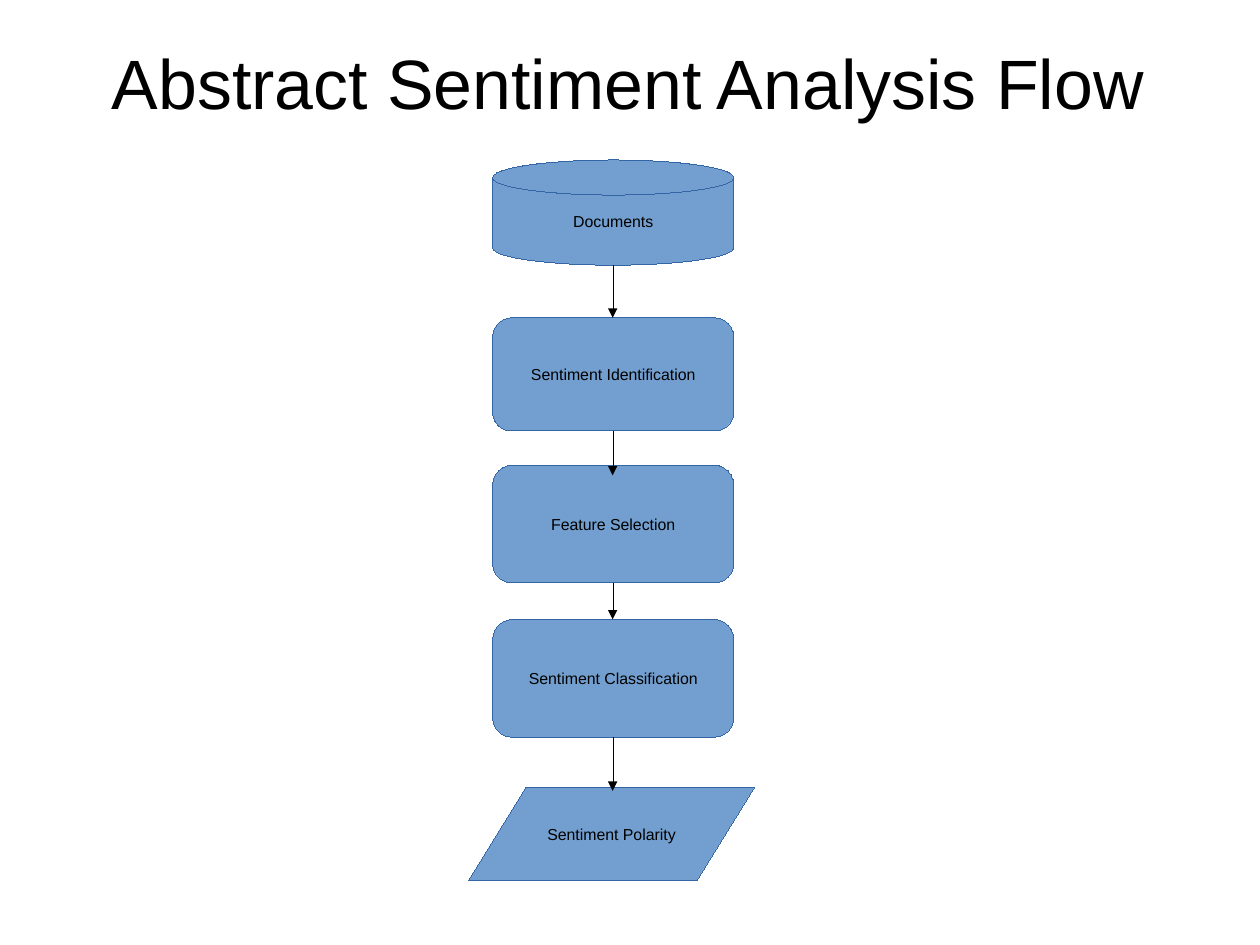
from lxml.etree import SubElement
from pptx import Presentation
from pptx.dml.color import RGBColor
from pptx.enum.shapes import MSO_CONNECTOR, MSO_SHAPE as SHAPE
from pptx.enum.text import MSO_ANCHOR as ANCHOR, PP_ALIGN as ALIGN
from pptx.oxml.ns import qn
from pptx.util import Inches, Pt

BLACK = RGBColor(0x00, 0x00, 0x00)
STEP_FILL = RGBColor(0x72, 0x9F, 0xCF)
STEP_LINE = RGBColor(0x34, 0x65, 0xA4)
HAIRLINE = Pt(0)

TITLE = "Abstract Sentiment Analysis Flow"
PROCESS = SHAPE.FLOWCHART_ALTERNATE_PROCESS
STEPS = [
    ("Documents", SHAPE.FLOWCHART_MAGNETIC_DISK, 4.31, 1.4, 2.11, 0.92),
    ("Sentiment Identification", PROCESS, 4.31, 2.78, 2.11, 0.99),
    ("Feature Selection", PROCESS, 4.31, 4.07, 2.11, 1.03),
    ("Sentiment Classification", PROCESS, 4.31, 5.42, 2.11, 1.03),
    ("Sentiment Polarity", SHAPE.FLOWCHART_DATA, 4.1, 6.89, 2.5, 0.81),
]
ARROW_OVERLAPS = [0, 0.09, 0, 0.03]
ARROW_X = 5.36
CM_PER_INCH = 2.54
PAGE_WIDTH = Inches(28 / CM_PER_INCH)
PAGE_HEIGHT = Inches(21 / CM_PER_INCH)


def write(shape, text, size, margins=(0.1, 0.05), wrap=False):
    frame = shape.text_frame
    frame.word_wrap = wrap
    frame.vertical_anchor = ANCHOR.MIDDLE
    frame.margin_left = frame.margin_right = Inches(margins[0])
    frame.margin_top = frame.margin_bottom = Inches(margins[1])
    para = frame.paragraphs[0]
    para.alignment = ALIGN.CENTER
    span = para.add_run()
    span.text = text
    span.font.name = "Arial"
    span.font.size = Pt(size)
    span.font.color.rgb = BLACK


def set_hairline(shape, color):
    shape.line.color.rgb = color
    shape.line.width = HAIRLINE
    element = shape._element
    element.remove(element.find(qn("p:style")))


def add_step(page, text, kind, *bounds):
    step = page.shapes.add_shape(kind, *map(Inches, bounds))
    step.shadow.inherit = False
    step.fill.solid()
    step.fill.fore_color.rgb = STEP_FILL
    set_hairline(step, STEP_LINE)
    write(step, text, 10)


def add_arrow(page, start, end):
    ends = map(Inches, (ARROW_X, start, ARROW_X, end))
    arrow = page.shapes.add_connector(MSO_CONNECTOR.STRAIGHT, *ends)
    set_hairline(arrow, BLACK)
    properties = arrow._element.spPr
    SubElement(properties.find(qn("a:ln")), qn("a:tailEnd"), type="triangle")
    SubElement(properties, qn("a:effectLst"))


def main():
    deck = Presentation()
    deck.slide_width = PAGE_WIDTH
    deck.slide_height = PAGE_HEIGHT
    page = deck.slides.add_slide(deck.slide_layouts[6])

    title = page.shapes.add_textbox(Inches(0.3), Inches(0.02), Inches(10.4), Inches(1.38))
    write(title, TITLE, 44, margins=(0, 0), wrap=True)

    for step in STEPS:
        add_step(page, *step)
    for upper, lower, overlap in zip(STEPS, STEPS[1:], ARROW_OVERLAPS):
        add_arrow(page, upper[3] + upper[5], lower[3] + overlap)

    deck.save("out.pptx")


if __name__ == "__main__":
    main()
